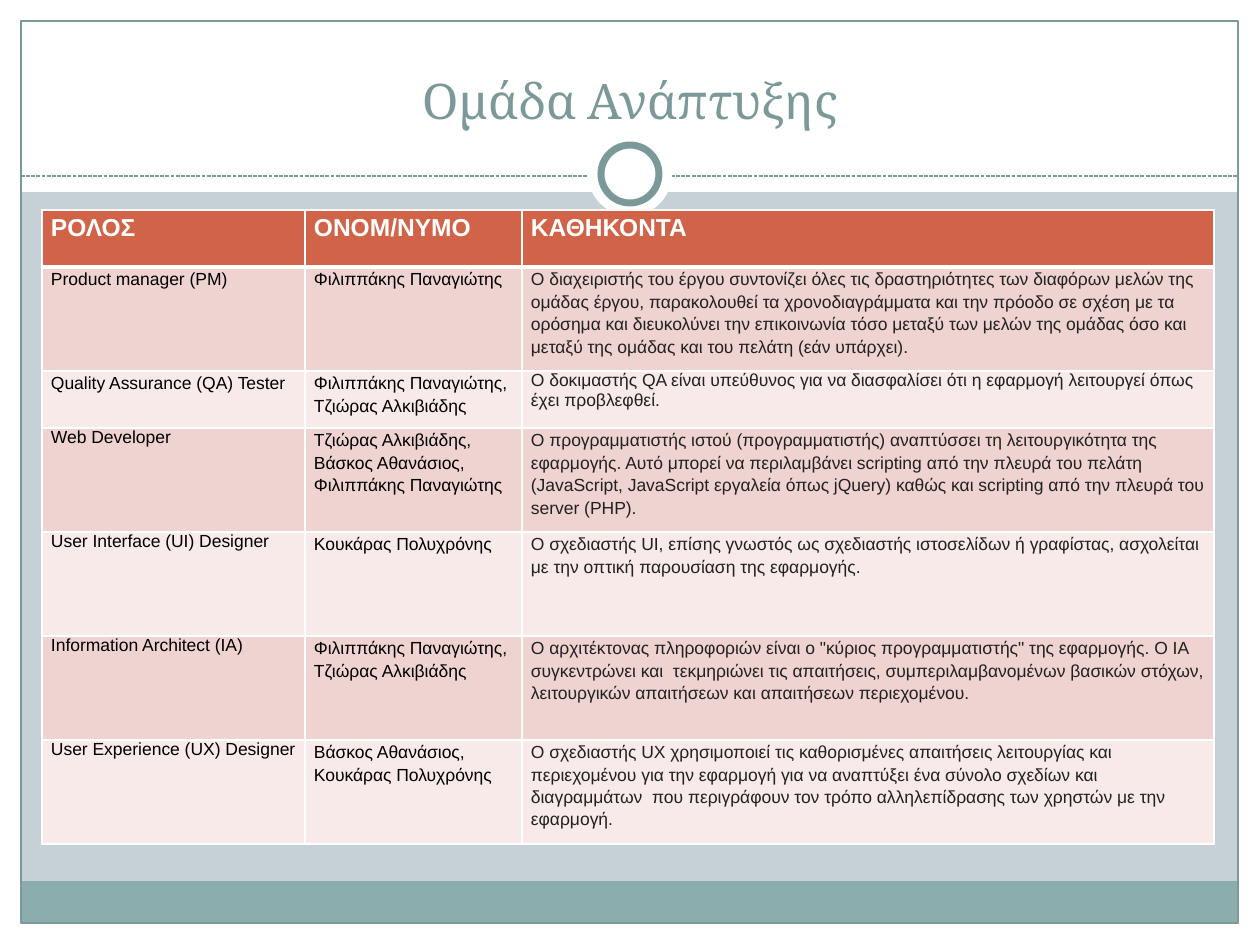
from lxml.etree import SubElement
from pptx import Presentation
from pptx.dml.color import RGBColor
from pptx.enum.dml import MSO_LINE
from pptx.enum.shapes import MSO_CONNECTOR, MSO_SHAPE
from pptx.enum.text import MSO_ANCHOR, PP_ALIGN
from pptx.oxml.ns import qn
from pptx.util import Emu, Pt

WHITE, TEAL, TEAL_LIGHT, BACKGROUND = "FFFFFF", "7C999A", "8CADAE", "C5D1D7"
HEADER_FILL, ROW_FILLS = "D16349", ("F7EAE9", "EED3D0")
BLACK, DARK = "000000", "212121"

COLUMN_WIDTHS = (263, 217, 692)
ROW_HEIGHTS = (57, 104, 57, 104, 104, 104, 104)
ROWS = [
    ("ΡΟΛΟΣ", "ΟΝΟΜ/ΝΥΜΟ", "ΚΑΘΗΚΟΝΤΑ"),
    ("Product manager (PM)", "Φιλιππάκης Παναγιώτης",
     "Ο διαχειριστής του έργου συντονίζει όλες τις δραστηριότητες των διαφόρων μελών της "
     "ομάδας έργου, παρακολουθεί τα χρονοδιαγράμματα και την πρόοδο σε σχέση με τα "
     "ορόσημα και διευκολύνει την επικοινωνία τόσο μεταξύ των μελών της ομάδας όσο και "
     "μεταξύ της ομάδας και του πελάτη (εάν υπάρχει)."),
    ("Quality Assurance (QA) Tester", "Φιλιππάκης Παναγιώτης, Τζιώρας Αλκιβιάδης",
     "Ο δοκιμαστής QA είναι υπεύθυνος για να διασφαλίσει ότι η εφαρμογή λειτουργεί όπως "
     "έχει προβλεφθεί."),
    ("Web Developer", "Τζιώρας Αλκιβιάδης,\nΒάσκος Αθανάσιος, Φιλιππάκης Παναγιώτης",
     "Ο προγραμματιστής ιστού (προγραμματιστής) αναπτύσσει τη λειτουργικότητα της "
     "εφαρμογής. Αυτό μπορεί να περιλαμβάνει scripting από την πλευρά του πελάτη "
     "(JavaScript, JavaScript εργαλεία όπως jQuery) καθώς και scripting από την πλευρά του "
     "server (PHP)."),
    ("User Interface (UI) Designer", "Κουκάρας Πολυχρόνης",
     "Ο σχεδιαστής UI, επίσης γνωστός ως σχεδιαστής ιστοσελίδων ή γραφίστας, ασχολείται "
     "με την οπτική παρουσίαση της εφαρμογής."),
    ("Information Architect (IA)", "Φιλιππάκης Παναγιώτης, Τζιώρας Αλκιβιάδης",
     "Ο αρχιτέκτονας πληροφοριών είναι ο \"κύριος προγραμματιστής\" της εφαρμογής. Ο ΙΑ "
     "συγκεντρώνει και  τεκμηριώνει τις απαιτήσεις, συμπεριλαμβανομένων βασικών στόχων, "
     "λειτουργικών απαιτήσεων και απαιτήσεων περιεχομένου."),
    ("User Experience (UX) Designer", "Βάσκος Αθανάσιος, Κουκάρας Πολυχρόνης",
     "Ο σχεδιαστής UX χρησιμοποιεί τις καθορισμένες απαιτήσεις λειτουργίας και "
     "περιεχομένου για την εφαρμογή για να αναπτύξει ένα σύνολο σχεδίων και "
     "διαγραμμάτων  που περιγράφουν τον τρόπο αλληλεπίδρασης των χρηστών με την "
     "εφαρμογή."),
]


def px(length):
    return Emu(round(length * 914400 / 126))


def color(value):
    return RGBColor.from_string(value)


class SlideBuilder:
    heading_font = "Cambria"
    body_font = "Arial"

    def __init__(self, slide):
        self.slide = slide

    def background(self, fill):
        self.slide.background.fill.solid()
        self.slide.background.fill.fore_color.rgb = color(fill)

    def run(self, paragraph, text, font, size, text_color, bold=False):
        run = paragraph.add_run()
        run.text = text
        run.font.name = font
        run.font.size = Pt(size)
        run.font.bold = bold
        run.font.color.rgb = color(text_color)

    def shape(self, kind, left, top, width, height, fill=None, line=None, weight=0.75):
        shape = self.slide.shapes.add_shape(kind, px(left), px(top), px(width), px(height))
        shape.shadow.inherit = False
        if fill:
            shape.fill.solid()
            shape.fill.fore_color.rgb = color(fill)
        else:
            shape.fill.background()
        if line:
            shape.line.color.rgb = color(line)
            shape.line.width = Pt(weight)
        else:
            shape.line.fill.background()

    def dashed_line(self, left, right, top, line):
        connector = self.slide.shapes.add_connector(
            MSO_CONNECTOR.STRAIGHT, px(left), px(top), px(right), px(top))
        connector.line.color.rgb = color(line)
        connector.line.width = Pt(0.75)
        connector.line.dash_style = MSO_LINE.SQUARE_DOT
        SubElement(connector.element.spPr, qn("a:effectLst"))

    def title(self, text, left, top, width, height):
        title = self.slide.shapes.title
        title.left, title.top = px(left), px(top)
        title.width, title.height = px(width), px(height)
        title.element.getparent().append(title.element)
        title.text_frame.vertical_anchor = MSO_ANCHOR.BOTTOM
        paragraph = title.text_frame.paragraphs[0]
        paragraph.alignment = PP_ALIGN.CENTER
        self.run(paragraph, text, self.heading_font, 28, TEAL)

    def borders(self, cell, weights):
        properties = cell._tc.get_or_add_tcPr()
        for side, weight in zip("LRTB", weights):
            line = SubElement(properties, qn(f"a:ln{side}"), w=str(Pt(weight)))
            fill = SubElement(line, qn("a:solidFill"))
            SubElement(fill, qn("a:srgbClr"), val=WHITE)

    def cell(self, cell, text, row, column):
        header = row == 0
        self.borders(cell, (1, 1, 3 if row == 1 else 1, 3 if header else 1))
        cell.fill.solid()
        cell.fill.fore_color.rgb = color(HEADER_FILL if header else ROW_FILLS[row % 2])
        cell.margin_left = cell.margin_right = px(9)
        cell.margin_top = cell.margin_bottom = 0
        single_spaced = (column == 0 and row > 2) or (row, column) == (2, 2)
        for index, line in enumerate(text.split("\n")):
            frame = cell.text_frame
            paragraph = frame.add_paragraph() if index else frame.paragraphs[0]
            paragraph.line_spacing = 1.0 if single_spaced else 1.15
            if column == 0 and row > 1:
                paragraph.space_before, paragraph.space_after = Pt(8), Pt(6)
            text_color = WHITE if header else DARK if column == 2 else BLACK
            self.run(paragraph, line, self.body_font, 14 if header else 10, text_color, header)

    def table(self, left, top, widths, heights, rows):
        table = self.slide.shapes.add_table(
            len(rows), len(widths), px(left), px(top), px(sum(widths)), px(sum(heights))).table
        table.horz_banding = False
        for column, width in zip(table.columns, widths):
            column.width = px(width)
        for row, height in zip(table.rows, heights):
            row.height = px(height)
        for row, texts in enumerate(rows):
            for column, text in enumerate(texts):
                self.cell(table.cell(row, column), text, row, column)


def main():
    presentation = Presentation()
    presentation.slide_width, presentation.slide_height = px(1260), px(945)
    builder = SlideBuilder(presentation.slides.add_slide(presentation.slide_layouts[5]))
    builder.background(BACKGROUND)
    margins = [(0, 924, 1260, 21), (0, 0, 1260, 192), (0, 0, 21, 945), (1239, 0, 21, 945)]
    for box in margins:
        builder.shape(MSO_SHAPE.RECTANGLE, *box, fill=WHITE)
    builder.shape(MSO_SHAPE.RECTANGLE, 21, 881, 1217, 43, fill=TEAL_LIGHT)
    builder.shape(MSO_SHAPE.RECTANGLE, 21, 21, 1217, 902, line=TEAL)
    builder.dashed_line(21, 1238, 176, TEAL)
    builder.shape(MSO_SHAPE.OVAL, 588, 132, 84, 84, fill=WHITE)
    builder.shape(MSO_SHAPE.OVAL, 601, 145, 58, 58, fill=WHITE, line=TEAL, weight=4)
    builder.title("Ομάδα Ανάπτυξης", 42, 32, 1176, 104)
    builder.table(42, 210, COLUMN_WIDTHS, ROW_HEIGHTS, ROWS)
    presentation.save("out.pptx")


if __name__ == "__main__":
    main()
